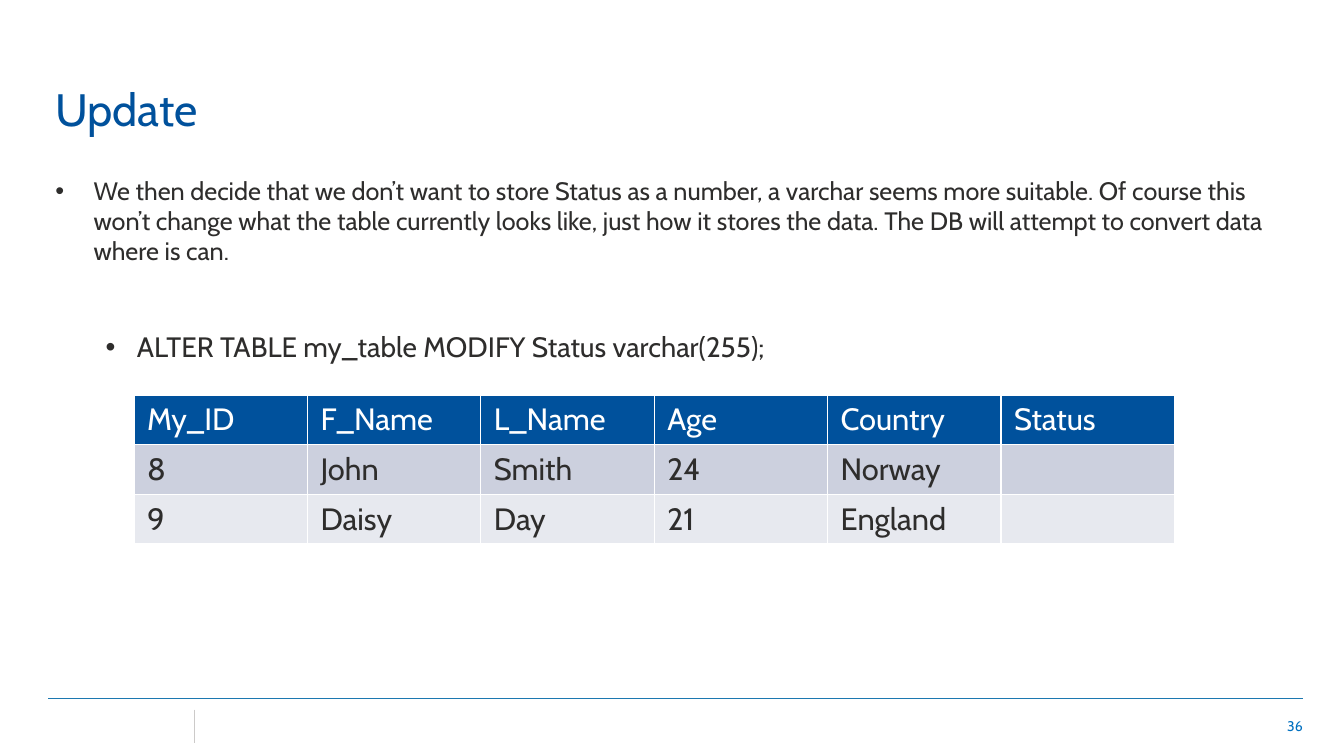
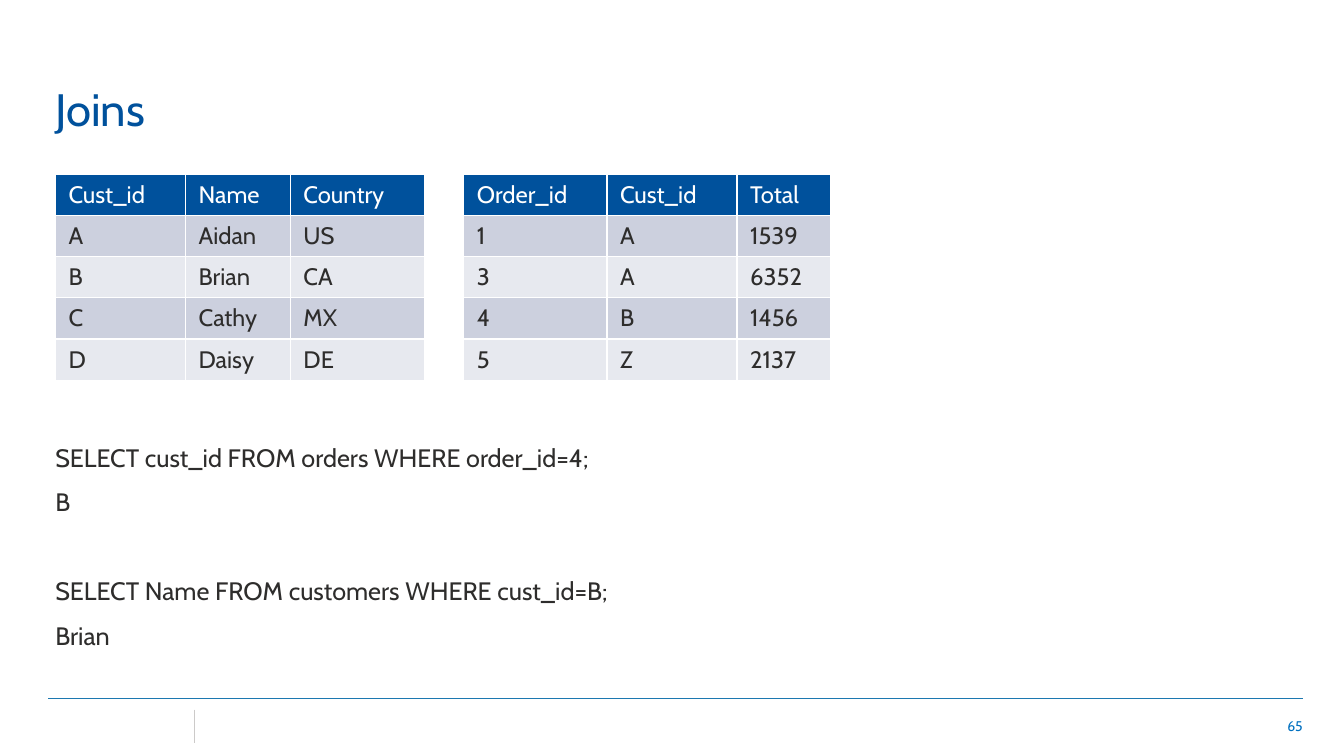
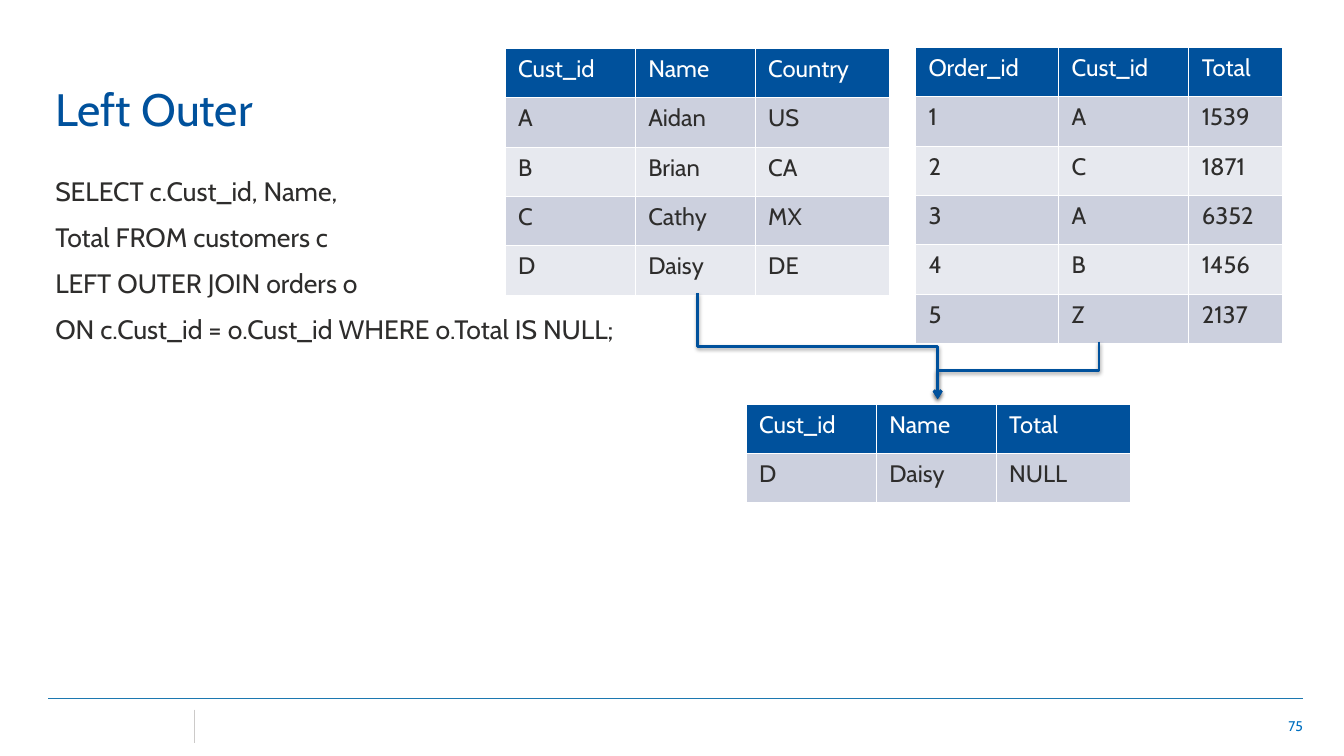
from lxml import etree
from pptx import Presentation
from pptx.dml.color import RGBColor
from pptx.enum.shapes import MSO_CONNECTOR
from pptx.enum.text import MSO_ANCHOR, MSO_AUTO_SIZE, PP_ALIGN
from pptx.oxml.ns import qn
from pptx.util import Inches, Pt

STRAIGHT, ELBOW = MSO_CONNECTOR.STRAIGHT, MSO_CONNECTOR.ELBOW
LEFT, RIGHT = PP_ALIGN.LEFT, PP_ALIGN.RIGHT
TOP, MIDDLE, BOTTOM = MSO_ANCHOR.TOP, MSO_ANCHOR.MIDDLE, MSO_ANCHOR.BOTTOM
NO_FIT = MSO_AUTO_SIZE.NONE
TITLE_ONLY = 5

FONT = "Cabin"
BLUE, INK, WHITE = "00519C", "2E2D2C", "FFFFFF"
BANDS = ["CCD0DE", "E7E9EF"]
PAGE_BLUE, RULE_BLUE, RULE_GREY = "0070C0", "1C78B0", "CCCAC9"

TITLE_BOX = (0.45, 0.71, 9.98, 0.69)
BODY_BOX = (0.45, 1.69, 12.47, 4.97)
NUMBER_BOX = (9.91, 7, 3.11, 0.4)

PEOPLE = [
    ["My_ID", "F_Name", "L_Name", "Age", "Country", "Status"],
    ["8", "John", "Smith", "24", "Norway", ""],
    ["9", "Daisy", "Day", "21", "England", ""],
]
CUSTOMERS = [
    ["Cust_id", "Name", "Country"],
    ["A", "Aidan", "US"],
    ["B", "Brian", "CA"],
    ["C", "Cathy", "MX"],
    ["D", "Daisy", "DE"],
]
ORDERS = [
    ["Order_id", "Cust_id", "Total"],
    ["1", "A", "1539"],
    ["2", "C", "1871"],
    ["3", "A", "6352"],
    ["4", "B", "1456"],
    ["5", "Z", "2137"],
]
MATCHES = [["Cust_id", "Name", "Total"], ["D", "Daisy", "NULL"]]
CUSTOMER_COLUMNS = [1.29, 1.19, 1.33]
ORDER_COLUMNS = [1.42, 1.29, 0.93]


def color(value):
    return RGBColor.from_string(value)


def apply(target, values):
    for name, value in values.items():
        setattr(target, name, value)


def add_child(parent, tag, **attributes):
    return etree.SubElement(parent, qn(tag), attributes)


def write(para, text, size, shade, **layout):
    span = para.add_run()
    span.text = text
    apply(span.font, {"name": FONT, "size": Pt(size), "bold": False})
    span.font.color.rgb = color(shade)
    apply(para, layout)


def add_text_box(page, box, anchor=TOP):
    frame = page.shapes.add_textbox(*map(Inches, box)).text_frame
    apply(frame, {"word_wrap": True, "vertical_anchor": anchor, "auto_size": NO_FIT})
    return frame


# Text regions
def add_title(page, text):
    title = page.shapes.title
    apply(title, dict(zip(("left", "top", "width", "height"), map(Inches, TITLE_BOX))))
    apply(title.text_frame, {"vertical_anchor": BOTTOM, "auto_size": NO_FIT, "word_wrap": True})
    write(title.text_frame.paragraphs[0], text, 32.4, BLUE, alignment=LEFT)


def add_body(page, box, lines):
    """Each line is (text, size, space before, bullet indent or None)."""
    frame = add_text_box(page, box)
    for index, (text, size, before, indent) in enumerate(lines):
        para = frame.add_paragraph() if index else frame.paragraphs[0]
        write(para, text, size, INK, space_before=Pt(before), space_after=Pt(8))
        if indent:
            margin, hanging = indent
            properties = para._p.get_or_add_pPr()
            properties.set("marL", str(Inches(margin)))
            properties.set("indent", str(Inches(-hanging)))
            add_child(properties, "a:buFont", typeface="Arial")
            add_child(properties, "a:buChar", char="•")


# Lines
def add_line(page, kind, start, end, shade, width):
    line = page.shapes.add_connector(kind, *map(Inches, start + end))
    line.line.color.rgb = color(shade)
    line.line.width = Pt(width)
    effects = add_child(line._element.spPr, "a:effectLst")
    return line, effects


def add_down_arrow(page, start, end):
    """Elbow arrow that leaves and arrives vertically: a turned elbow."""
    across, down = end[0] - start[0], end[1] - start[1]
    center_x, center_y = (start[0] + end[0]) / 2, (start[1] + end[1]) / 2
    half_width, half_height = down / 2, abs(across) / 2
    arrow, effects = add_line(
        page, ELBOW,
        (center_x - half_width, center_y - half_height),
        (center_x + half_width, center_y + half_height), BLUE, 2)
    transform = arrow._element.spPr.find(qn("a:xfrm"))
    transform.set("rot", str((270 if across > 0 else 90) * 60000))
    if across > 0:
        transform.set("flipH", "1")
    add_child(arrow.line._get_or_add_ln(), "a:tailEnd", type="arrow")
    shadow = add_child(effects, "a:outerShdw", blurRad=str(Pt(3.1)), dist=str(Pt(1.6)),
                       dir=str(90 * 60000), rotWithShape="0")
    black = add_child(shadow, "a:srgbClr", val="000000")
    add_child(black, "a:alpha", val="38000")


# Tables
def add_borders(cell):
    properties = cell._tc.get_or_add_tcPr()
    for position, side in enumerate(("a:lnL", "a:lnR", "a:lnT", "a:lnB")):
        border = etree.Element(qn(side), w=str(Pt(1)))
        fill = add_child(border, "a:solidFill")
        add_child(fill, "a:srgbClr", val=WHITE)
        properties.insert(position, border)


def add_grid(page, left, top, columns, row_height, rows, size=17):
    box = (left, top, sum(columns), row_height * len(rows))
    table = page.shapes.add_table(len(rows), len(columns), *map(Inches, box)).table
    table.horz_banding = False
    for column, width in zip(table.columns, columns):
        column.width = Inches(width)
    for r, row in enumerate(rows):
        table.rows[r].height = Inches(row_height)
        for c, text in enumerate(row):
            cell = table.cell(r, c)
            apply(cell, {"margin_left": Inches(0.13), "margin_right": Inches(0.13),
                         "margin_top": Inches(0.06), "margin_bottom": Inches(0.06)})
            cell.fill.solid()
            cell.fill.fore_color.rgb = color(BANDS[(r - 1) % 2] if r else BLUE)
            add_borders(cell)
            if text:
                write(cell.text_frame.paragraphs[0], text, size, INK if r else WHITE)


# Frame shared by all slides
def add_page(deck, title, number):
    page = deck.slides.add_slide(deck.slide_layouts[TITLE_ONLY])
    add_line(page, STRAIGHT, (0.48, 6.93), (12.92, 6.93), RULE_BLUE, 0.25)
    add_line(page, STRAIGHT, (1.93, 7.04), (1.93, 7.37), RULE_GREY, 0.25)
    frame = add_text_box(page, NUMBER_BOX, MIDDLE)
    write(frame.paragraphs[0], str(number), 10, PAGE_BLUE, alignment=RIGHT)
    add_title(page, title)
    return page


def build_update(deck):
    page = add_page(deck, "Update", 36)
    add_body(page, BODY_BOX, [
        ("We then decide that we don’t want to store Status as a number, a varchar seems "
         "more suitable. Of course this won’t change what the table currently looks like, "
         "just how it stores the data. The DB will attempt to convert data where is can.",
         18, 2, (0.38, 0.38)),
        ("ALTER TABLE my_table MODIFY Status varchar(255);", 20, 37.6, (0.81, 0.31)),
    ])
    add_grid(page, 1.33, 3.92, [1.72] * 6, 0.49, PEOPLE, size=22)


def build_joins(deck):
    page = add_page(deck, "Joins", 65)
    add_body(page, (0.45, 4.34, 12.47, 2.32), [
        ("SELECT cust_id FROM orders WHERE order_id=4;", 18, 2, None),
        ("B", 18, 2, None),
        ("SELECT Name FROM customers WHERE cust_id=B;", 18, 34, None),
        ("Brian", 18, 2, None),
    ])
    orders = [row for row in ORDERS if row[0] != "2"]
    add_grid(page, 0.55, 1.73, [1.29, 1.04, 1.33], 0.4, CUSTOMERS)
    add_grid(page, 4.6, 1.73, ORDER_COLUMNS, 0.4, orders)


def build_left_outer(deck):
    page = add_page(deck, "Left Outer", 75)
    query = ["SELECT c.Cust_id, Name,", "Total FROM customers c", "LEFT OUTER JOIN orders o",
             "ON c.Cust_id = o.Cust_id WHERE o.Total IS NULL;"]
    add_body(page, BODY_BOX, [(line, 19, 2, None) for line in query])
    add_grid(page, 5.01, 0.48, CUSTOMER_COLUMNS, 0.49, CUSTOMERS)
    add_grid(page, 9.08, 0.47, ORDER_COLUMNS, 0.49, ORDERS)
    for start in ((6.92, 2.91), (10.9, 3.39)):
        add_down_arrow(page, start, (9.3, 3.96))
    add_grid(page, 7.4, 4.01, CUSTOMER_COLUMNS, 0.49, MATCHES)


def main():
    deck = Presentation()
    apply(deck, {"slide_width": Inches(13.33), "slide_height": Inches(7.5)})
    for build in (build_update, build_joins, build_left_outer):
        build(deck)
    deck.save("out.pptx")


if __name__ == "__main__":
    main()
